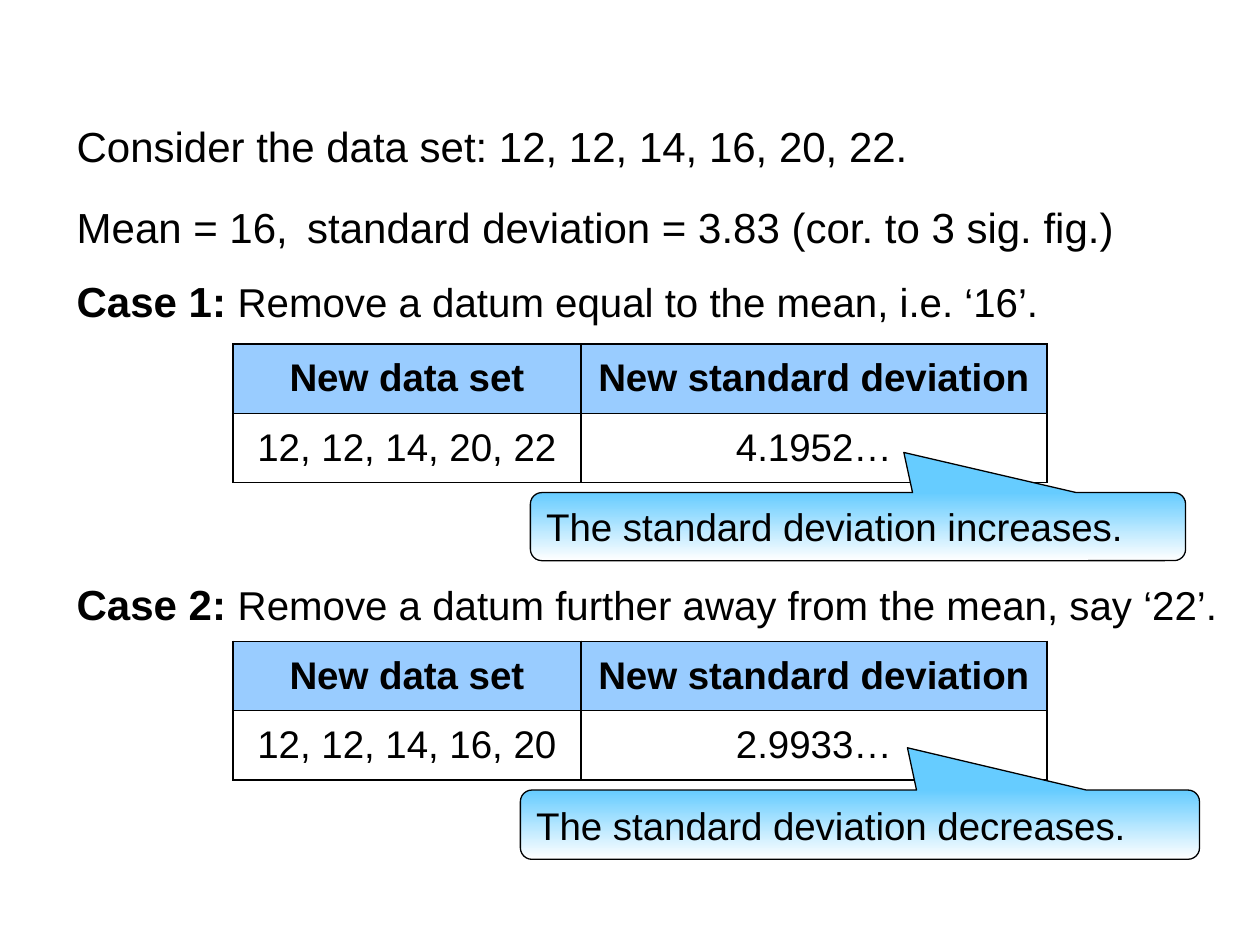
from lxml import etree
from pptx import Presentation
from pptx.dml.color import RGBColor
from pptx.enum.shapes import MSO_SHAPE
from pptx.enum.text import MSO_ANCHOR, MSO_AUTO_SIZE, PP_ALIGN
from pptx.oxml.ns import qn
from pptx.util import Inches, Pt

CALLOUT = MSO_SHAPE.ROUNDED_RECTANGULAR_CALLOUT
MIDDLE = MSO_ANCHOR.MIDDLE
GROW = MSO_AUTO_SIZE.SHAPE_TO_FIT_TEXT
LEFT, CENTER = PP_ALIGN.LEFT, PP_ALIGN.CENTER

BLACK = RGBColor(0x00, 0x00, 0x00)
WHITE = RGBColor(0xFF, 0xFF, 0xFF)
HEADER_BLUE = RGBColor(0x99, 0xCC, 0xFF)
CALLOUT_BLUE = RGBColor(0x66, 0xCC, 0xFF)

TEXT_LEFT = 0.51
TABLE_LEFT = 1.85
SET_WIDTH, DEVIATION_WIDTH = 2.76, 3.7
ROW_HEIGHT = 0.55


def add_run(p, text, size, bold=False):
    r = p.add_run()
    r.text = text
    fmt = {"name": "Arial", "size": Pt(size), "bold": bold}
    for name, value in fmt.items():
        setattr(r.font, name, value)
    r.font.color.rgb = BLACK


def add_text(s, left, top, width, *runs):
    """Add a one-line text box; each run is (text, size) or (text, size, bold)."""
    box = s.shapes.add_textbox(Inches(left), Inches(top), Inches(width), Inches(0.51))
    tf = box.text_frame
    tf.word_wrap = True
    tf.auto_size = GROW
    for run in runs:
        add_run(tf.paragraphs[0], *run)


def add_borders(cell):
    tc_pr = cell._tc.get_or_add_tcPr()
    for i, side in enumerate(("lnL", "lnR", "lnT", "lnB")):
        ln = etree.Element(qn(f"a:{side}"), w=str(Pt(1)))
        fill = etree.SubElement(ln, qn("a:solidFill"))
        etree.SubElement(fill, qn("a:srgbClr"), val=str(BLACK))
        tc_pr.insert(i, ln)


def add_column_table(s, left, top, width, header, value):
    """Add a one-column table with a header cell above a value cell."""
    frame = s.shapes.add_table(2, 1, Inches(left), Inches(top),
                               Inches(width), Inches(2 * ROW_HEIGHT))
    table = frame.table
    rows = ((header, HEADER_BLUE, True), (value, WHITE, False))
    for i, (text, color, bold) in enumerate(rows):
        table.rows[i].height = Inches(ROW_HEIGHT)
        cell = table.cell(i, 0)
        cell.vertical_anchor = MIDDLE
        cell.fill.solid()
        cell.fill.fore_color.rgb = color
        add_borders(cell)
        p = cell.text_frame.paragraphs[0]
        p.alignment = CENTER
        add_run(p, text, 22, bold)


def add_callout(s, left, top, width, height, pointer, text):
    sp = s.shapes.add_shape(CALLOUT, Inches(left), Inches(top),
                            Inches(width), Inches(height))
    sp.shadow.inherit = False
    for i, value in enumerate((*pointer, 0.167)):
        sp.adjustments[i] = value
    sp.fill.gradient()
    sp.fill.gradient_angle = 270
    for stop, color in zip(sp.fill.gradient_stops, (CALLOUT_BLUE, WHITE)):
        stop.color.rgb = color
    sp.line.color.rgb = BLACK
    sp.line.width = Pt(0.75)
    tf = sp.text_frame
    tf.word_wrap = True
    tf.vertical_anchor = MIDDLE
    p = tf.paragraphs[0]
    p.alignment = LEFT
    add_run(p, text, 22)


def add_case(s, top, width, label, text, table_top, data_set, deviation):
    add_text(s, TEXT_LEFT, top, width, (label, 24, True), (text, 23))
    add_column_table(s, TABLE_LEFT + SET_WIDTH, table_top, DEVIATION_WIDTH,
                     "New standard deviation", deviation)
    add_column_table(s, TABLE_LEFT, table_top, SET_WIDTH, "New data set", data_set)


def main():
    prs = Presentation()
    prs.slide_width, prs.slide_height = Inches(10), Inches(7.5)
    s = prs.slides.add_slide(prs.slide_layouts[6])

    add_text(s, TEXT_LEFT, 0.91, 9.07,
             ("Consider the data set: 12, 12, 14, 16, 20, 22.", 24))
    add_text(s, TEXT_LEFT, 1.55, 3.01, ("Mean = 16,", 24))
    add_text(s, 2.34, 1.55, 6.83,
             ("standard deviation = 3.83 (cor. to 3 sig. fig.)", 24))

    add_case(s, 2.14, 9.23, "Case 1: ",
             "Remove a datum equal to the mean, i.e. ‘16’.",
             2.73, "12, 12, 14, 20, 22", "4.1952…")
    add_case(s, 4.54, 9.61, "Case 2: ",
             "Remove a datum further away from the mean, say ‘22’.",
             5.09, "12, 12, 14, 16, 20", "2.9933…")

    add_callout(s, 4.21, 3.91, 5.2, 0.54, (0.07, -1.09),
                "The standard deviation increases.")
    add_callout(s, 4.13, 6.27, 5.39, 0.55, (0.07, -1.11),
                "The standard deviation decreases.")
    prs.save("out.pptx")


if __name__ == "__main__":
    main()
